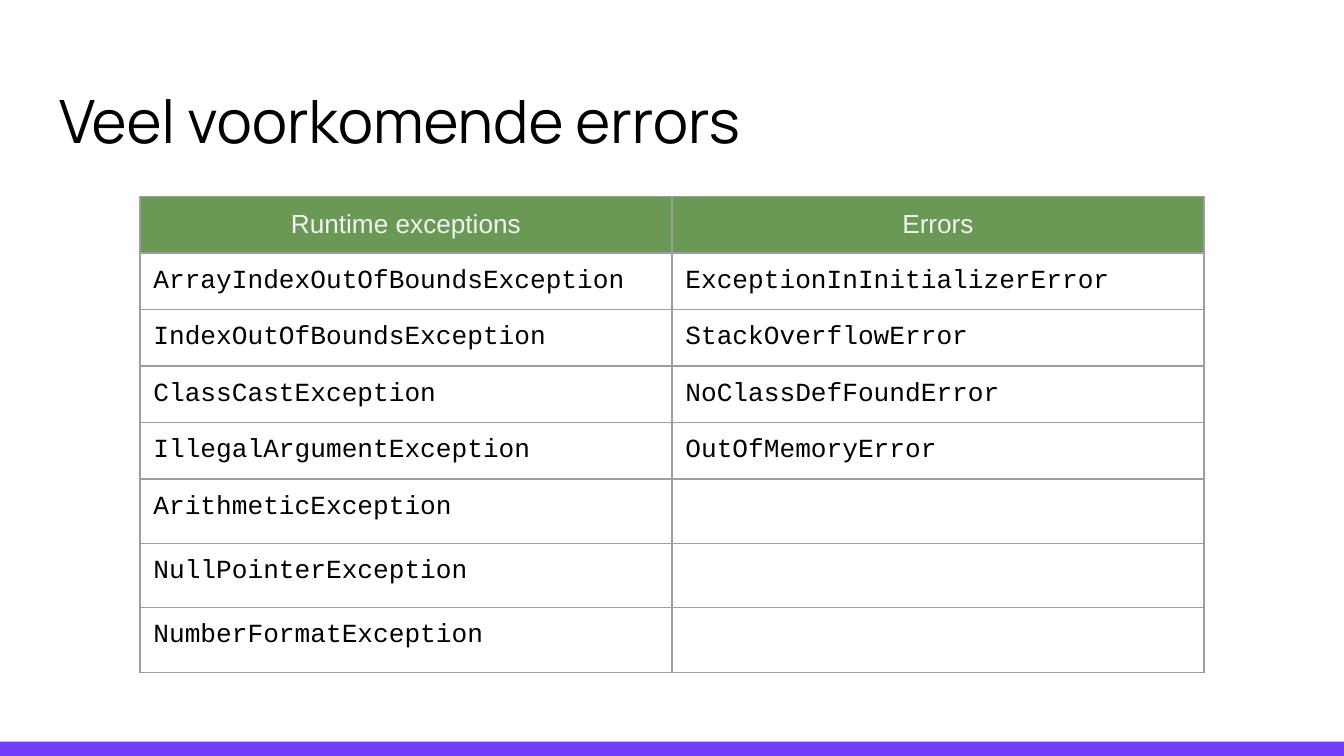
from lxml import etree
from pptx import Presentation
from pptx.dml.color import RGBColor
from pptx.enum.shapes import MSO_SHAPE
from pptx.enum.text import MSO_ANCHOR, PP_ALIGN
from pptx.oxml.ns import qn
from pptx.util import Pt

RECT = MSO_SHAPE.RECTANGLE
BOTTOM = MSO_ANCHOR.BOTTOM
LEFT, CENTER = PP_ALIGN.LEFT, PP_ALIGN.CENTER

TITLE = "Veel voorkomende errors"
HEADS = ("Runtime exceptions", "Errors")
ROWS = [
    ("ArrayIndexOutOfBoundsException", "ExceptionInInitializerError"),
    ("IndexOutOfBoundsException", "StackOverflowError"),
    ("ClassCastException", "NoClassDefFoundError"),
    ("IllegalArgumentException", "OutOfMemoryError"),
    ("ArithmeticException", ""),
    ("NullPointerException", ""),
    ("NumberFormatException", ""),
]

THEME = {
    "title": ("Manrope", 32, "000000"),
    "head": ("Arial", 14, "F2F2F2"),
    "code": ("Courier New", 14, "000000"),
    "green": "6A9955",
    "purple": "743DFB",
    "grid": "9E9E9E",
}

WIDTH, HEIGHT = 720, 405
BAR = 7.6
PAD = 7.2
TABLE_LEFT, TABLE_TOP = 75, 105.3
COL = 285
ROW, TALL = 30.24, 34.5
EDGE = 0.75


def style(par, kind, align):
    name, size, color = THEME[kind]
    par.alignment = align
    par.font.name = name
    par.font.size = Pt(size)
    par.font.color.rgb = RGBColor.from_string(color)


def pad(box):
    box.margin_left = box.margin_right = Pt(PAD)
    box.margin_top = box.margin_bottom = Pt(PAD)


def border(cell):
    """Draw all four edges; they must precede the fill in tcPr."""
    props = cell._tc.get_or_add_tcPr()
    for i, side in enumerate(("a:lnL", "a:lnR", "a:lnT", "a:lnB")):
        line = etree.Element(qn(side), w=str(Pt(EDGE)))
        fill = etree.SubElement(line, qn("a:solidFill"))
        etree.SubElement(fill, qn("a:srgbClr"), val=THEME["grid"])
        props.insert(i, line)


def add_title(slide):
    title = slide.shapes.title
    title.left, title.top = Pt(24.5), Pt(25.2)
    title.width, title.height = Pt(671), Pt(65.5)
    frame = title.text_frame
    frame.text = TITLE
    frame.vertical_anchor = BOTTOM
    pad(frame)
    style(frame.paragraphs[0], "title", LEFT)


def add_bar(slide):
    bar = slide.shapes.add_shape(
        RECT, 0, Pt(HEIGHT - BAR), Pt(WIDTH), Pt(BAR))
    bar.shadow.inherit = False
    bar.fill.solid()
    bar.fill.fore_color.rgb = RGBColor.from_string(THEME["purple"])
    bar.line.fill.background()


def add_grid(slide):
    rows = [HEADS] + ROWS
    tops = [ROW if all(row) else TALL for row in rows]
    table = slide.shapes.add_table(
        len(rows), len(HEADS), Pt(TABLE_LEFT), Pt(TABLE_TOP),
        Pt(COL * len(HEADS)), Pt(sum(tops))).table
    table.horz_banding = False
    for col in table.columns:
        col.width = Pt(COL)
    for r, row in enumerate(rows):
        table.rows[r].height = Pt(tops[r])
        for c, text in enumerate(row):
            cell = table.cell(r, c)
            cell.text = text
            pad(cell)
            if r == 0:
                cell.fill.solid()
                cell.fill.fore_color.rgb = RGBColor.from_string(THEME["green"])
                style(cell.text_frame.paragraphs[0], "head", CENTER)
            else:
                cell.fill.background()
                style(cell.text_frame.paragraphs[0], "code", LEFT)
            border(cell)


def main():
    deck = Presentation()
    deck.slide_width, deck.slide_height = Pt(WIDTH), Pt(HEIGHT)
    slide = deck.slides.add_slide(deck.slide_layouts[5])
    add_bar(slide)
    add_title(slide)
    add_grid(slide)
    deck.save("out.pptx")


if __name__ == "__main__":
    main()
